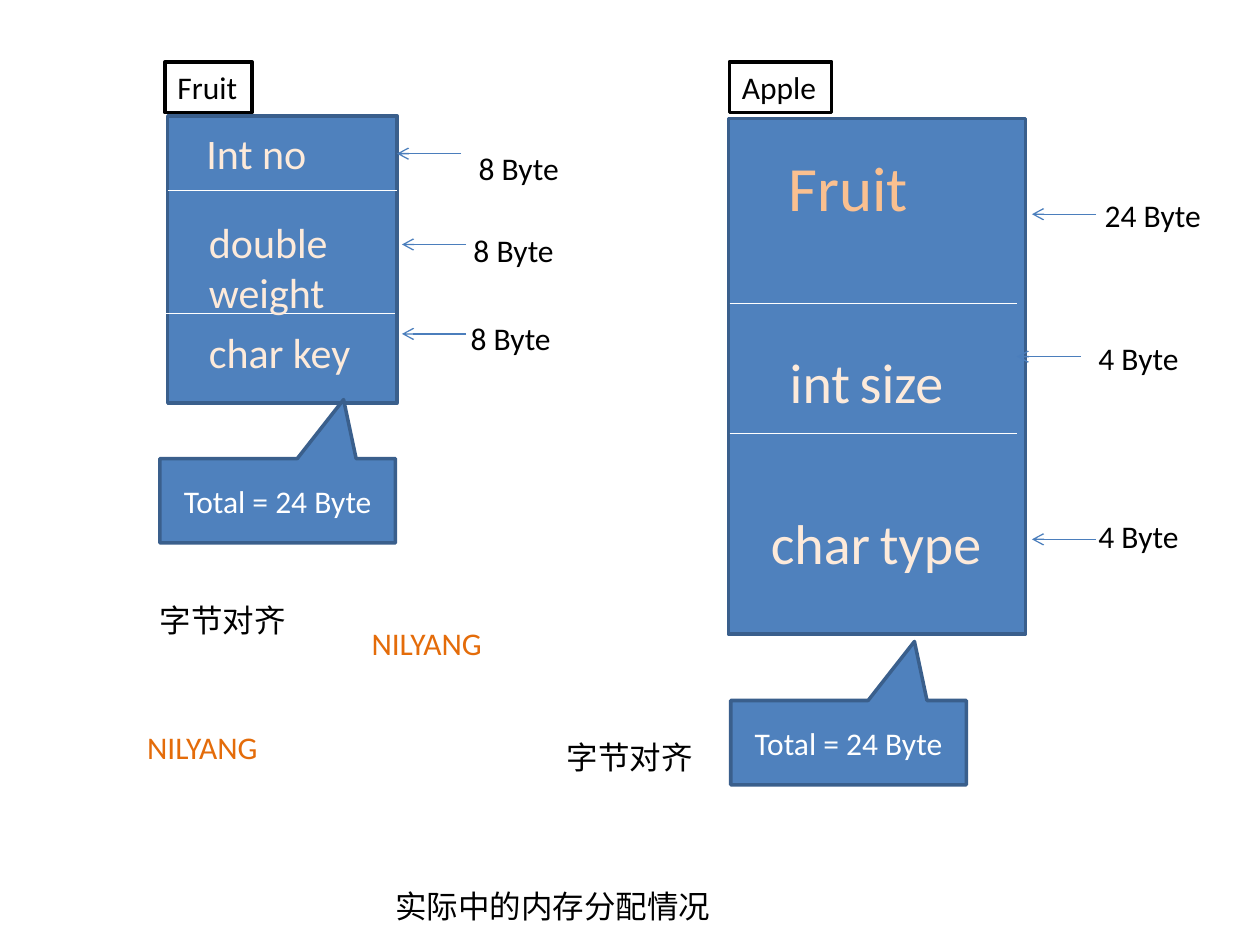
"""Build the slide on byte alignment in memory layouts."""
import pptx
import pptx.util
import pptx.dml.color
import pptx.enum.shapes
import pptx.enum.text
import pptx.oxml.ns
import lxml.etree

Pt = pptx.util.Pt
KIND = pptx.enum.shapes.MSO_SHAPE
TEXT = pptx.enum.text
BLUE, EDGE, ARROW = "4F81BD", "3A5F8C", "4B7EBC"
WHITE, BLACK, CREAM, PEACH, ORANGE = "FFFFFF", "000000", "FDEADA", "FAC090", "E46C0A"
REACH = 36.7

PANELS = [(95.8, 66.2, 131, 164.2), (416.2, 67.7, 169.9, 294.5)]
TAGS = [("Fruit", 94.3, 49.7), ("Apple", 416.9, 58.3)]
RULES = [(95.8, 108.7, 131), (95, 179.3, 131), (416.9, 173.5, 164.2), (416.9, 247.7, 164.2)]
FIELDS = [
    ("Fruit", (443.5, 81.4, 83.5, 51.1), 36, PEACH),
    ("Int no", (110.9, 69.1, 72, 36), 24, CREAM),
    ("double weight", (112.3, 120.2, 100.8, 65.5), 24, CREAM),
    ("char key", (112.3, 182.9, 96.5, 36), 24, CREAM),
    ("int size", (444.2, 195.1, 103, 46.1), 32, CREAM),
    ("char type", (433.4, 287.3, 136.1, 46.1), 32, CREAM),
]
SIZES = [
    ("8 Byte", 266.4, 81.4, 60.5, 226.8, 87.8),
    ("8 Byte", 263.5, 128.2, 60.5, 229.7, 139.7),
    ("8 Byte", 261.8, 178.6, 60.5, 229.7, 190.8),
    ("24 Byte", 624.2, 108.7, 69.8, 589.7, 122.4),
    ("4 Byte", 620.6, 190.1, 60.5, 581, 203.8),
    ("4 Byte", 620.6, 291.6, 60.5, 589.7, 308.2),
]
TOTALS = [(91.4, 262.1), (417.6, 400.3)]
NOTES = [
    ("字节对齐", 84.2, 339.8, 87.1, BLACK),
    ("NILYANG", 77, 412.6, 78.5, ORANGE),
    ("NILYANG", 205.2, 352.8, 78.5, ORANGE),
    ("实际中的内存分配情况", 218.9, 503.3, 196.6, BLACK),
    ("字节对齐", 316.8, 418.3, 87.1, BLACK),
]

deck = pptx.Presentation()
deck.slide_width, deck.slide_height = Pt(720), Pt(540)
slide = deck.slides.add_slide(deck.slide_layouts[6])
shapes = slide.shapes


def color(code):
    """Turn a hex string into a colour."""
    return pptx.dml.color.RGBColor.from_string(code)


def write(shape, text, size=18, ink=BLACK, wrap=False, mid=False, gap=None):
    """Put formatted text into a shape."""
    frame = shape.text_frame
    frame.word_wrap = wrap
    frame.auto_size = TEXT.MSO_AUTO_SIZE.NONE if mid else TEXT.MSO_AUTO_SIZE.SHAPE_TO_FIT_TEXT
    frame.vertical_anchor = TEXT.MSO_ANCHOR.MIDDLE if mid else TEXT.MSO_ANCHOR.TOP
    para = frame.paragraphs[0]
    para.alignment = TEXT.PP_ALIGN.CENTER if mid else TEXT.PP_ALIGN.LEFT
    head, space, rest = text.partition(" ") if gap else (text, "", "")
    for part, points in ((head, size), (space, gap), (rest, size)):
        if part:
            run = para.add_run()
            run.text = part
            run.font.name = "Calibri"
            run.font.size = Pt(points)
            run.font.color.rgb = color(ink)


def label(text, box, **style):
    """Add a text box."""
    write(shapes.add_textbox(*map(Pt, box)), text, **style)


def block(box, kind=KIND.RECTANGLE, fill=BLUE, edge=EDGE):
    """Add a filled and outlined shape."""
    shape = shapes.add_shape(kind, *map(Pt, box))
    shape.shadow.inherit = False
    shape.fill.solid()
    shape.fill.fore_color.rgb = color(fill)
    shape.line.color.rgb = color(edge)
    shape.line.width = Pt(2)
    return shape


def line(left, right, y, ink, tip=False):
    """Draw a level line, with an arrow tip at its end if asked."""
    rule = shapes.add_connector(
        pptx.enum.shapes.MSO_CONNECTOR.STRAIGHT, Pt(left), Pt(y), Pt(right), Pt(y))
    rule.line.color.rgb = color(ink)
    rule.line.width = Pt(0.75)
    qn = pptx.oxml.ns.qn
    if tip:
        lxml.etree.SubElement(rule.line._get_or_add_ln(), qn("a:tailEnd"), type="arrow")
    lxml.etree.SubElement(rule._element.spPr, qn("a:effectLst"))


for box in PANELS:
    block(box)
for text, left, width in TAGS:
    write(block((left, 35.3, width, 29.1), fill=WHITE, edge=BLACK), text)
for left, y, width in RULES:
    line(left, left + width, y, WHITE)
for text, box, size, ink in FIELDS:
    label(text, box, size=size, ink=ink, wrap=text == "double weight",
          gap=24 if size == 32 else None)
for text, left, top, width, tip, y in SIZES:
    line(tip + REACH, tip, y, ARROW, tip=True)
    label(text, (left, top, width, 29.1))
for left, top in TOTALS:
    call = block((left, top, 134.6, 48.2), kind=KIND.RECTANGULAR_CALLOUT)
    call.adjustments[0], call.adjustments[1] = 0.28, -1.2
    write(call, "Total = 24 Byte", ink=WHITE, wrap=True, mid=True)
for text, left, top, width, ink in NOTES:
    label(text, (left, top, width, 29.1), ink=ink)

deck.save("out.pptx")
